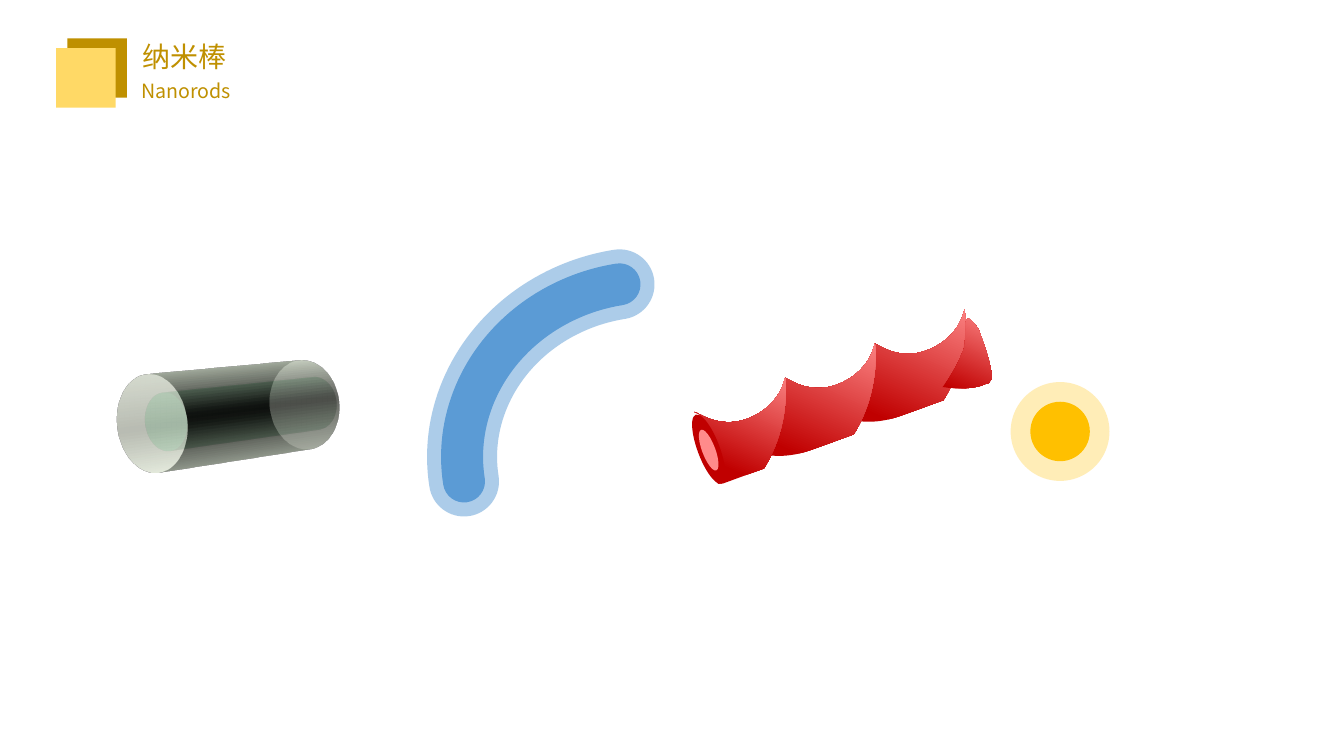
import math
from lxml import etree
from pptx import Presentation
from pptx.dml.color import RGBColor
from pptx.enum import shapes
from pptx.oxml import ns
from pptx.util import Pt

deck = Presentation()
deck.slide_width, deck.slide_height = Pt(960), Pt(540)
page = deck.slides.add_slide(deck.slide_layouts[6])
Kind = shapes.MSO_SHAPE
TWIST = 159.4


def paint(fill, color, alpha=100):
    """Solid fill from a hex string, with opacity in percent."""
    fill.solid()
    fill.fore_color.rgb = RGBColor.from_string(color)
    if alpha < 100:
        node = fill._xPr.find(ns.qn("a:solidFill"))[0]
        etree.SubElement(node, ns.qn("a:alpha"), val=str(alpha * 1000))


def rotate(x, y, degrees):
    """Turn a point clockwise about the slide's corner."""
    cosine, sine = math.cos(math.radians(degrees)), math.sin(math.radians(degrees))
    return x * cosine - y * sine, x * sine + y * cosine


# Twisted rod: each outline has its steps (C curve, L line) and its points
turn = [(644.4, 296.6), (632.9, 300.9), (621.4, 302.4), (609.8, 300.2), (609.1, 300.2),
        (612.7, 295.9), (620.6, 284.4), (625, 271.4), (625.7, 257.8), (625, 245.5),
        (630.7, 248.4), (640.8, 253.4), (652.3, 254.2), (663.1, 249.8),
        (673.9, 245.5), (682.6, 237.6), (686.9, 227.5), (689, 221),
        (689.8, 226.8), (691.9, 257), (673.9, 285.8), (644.4, 296.6)]
second_turn, third_turn = [[(x - 64.1 * n, y + 24.4 * n) for x, y in turn] for n in (1, 2)]
sliver = [(514.1, 345.6), (512.6, 345.6), (515.5, 344.9)]
front_turn = [(515.5, 344.9), (518.4, 341.3), (517, 329.8), (512.6, 317.5),
              (507.6, 304.6), (501.1, 295.2), (496.8, 294.5), (496.1, 294.2)] + third_turn[10:]
tail_turn = [(705.6, 273.6), (699.8, 275.8), (691.2, 277.9), (682.6, 277.9), (673.9, 276.5),
             (673.2, 276.5), (676.8, 272.2), (684, 261.4), (689, 247.7), (689.8, 234),
             (689, 223.9), (693.4, 226.8), (699.1, 235.4), (702.7, 246.2),
             (707.8, 258.5), (708.5, 270), (706.3, 273.6)]
for steps, points in (("CLLCLLCCLC", turn), ("CLLCLLCCLC", second_turn), ("LL", sliver),
                      ("CCLLCCLC", front_turn), ("LCLCLCC", tail_turn)):
    dots = [tuple(Pt(value) for value in rotate(x, y, -TWIST)) for x, y in points]
    builder = page.shapes.build_freeform(*dots[0], scale=1.0)
    builder.add_line_segments(dots[1:], close=False)
    outline = builder.convert_to_shape()
    figure = outline._element.find(".//" + ns.qn("a:path"))
    lines = iter(figure.findall(ns.qn("a:lnTo")))
    for step in steps:
        segment = next(lines)
        if step == "C":
            curve = etree.Element(ns.qn("a:cubicBezTo"))
            segment.addprevious(curve)
            for part in (segment, next(lines), next(lines)):
                curve.append(part[0])
                figure.remove(part)
    etree.SubElement(figure, ns.qn("a:close"))
    middle_x, middle_y = rotate(outline.left + outline.width / 2,
                                outline.top + outline.height / 2, TWIST)
    outline.left = round(middle_x - outline.width / 2)
    outline.top = round(middle_y - outline.height / 2)
    outline.rotation = TWIST
    outline.shadow.inherit = False
    outline.line.fill.background()
    outline.fill.gradient()
    outline.fill.gradient_angle = 225
    for stop, color, place in zip(outline.fill.gradient_stops, ("C00000", "FF8B8B"), (0.19, 1)):
        stop.color.rgb = RGBColor.from_string(color)
        stop.position = place

# Straight rod, rod ends, sphere, title squares: centre, size, turn, colour, opacity, 3D offset
for kind, (x, y, width, height), turned, color, alpha, offset in (
        (Kind.OVAL, (108.6, 302.4, 42.5, 42.5), 0, "00B050", 100, -15),
        (Kind.OVAL, (108.6, 302.4, 70.6, 70.6), 0, "E2F0D9", 70, 0),
        (Kind.OVAL, (506.2, 320.8, 15.8, 52.6), TWIST, "C00000", 100, None),
        (Kind.OVAL, (506.2, 321.5, 9.4, 31), TWIST, "FF8B8B", 100, None),
        (Kind.OVAL, (757.2, 308.2, 70.6, 70.6), 0, "FFE699", 70, None),
        (Kind.OVAL, (757.2, 308.2, 42.5, 42.5), 0, "FFC000", 100, None),
        (Kind.RECTANGLE, (69.4, 48.6, 42.5, 42.5), 0, "BF9000", 100, None),
        (Kind.RECTANGLE, (61.3, 55.7, 42.5, 42.5), 0, "FFD966", 100, None)):
    piece = page.shapes.add_shape(kind, Pt(x - width / 2), Pt(y - height / 2),
                                  Pt(width), Pt(height))
    piece.rotation = turned
    piece.shadow.inherit = False
    piece.line.fill.background()
    paint(piece.fill, color, alpha)
    if offset is not None:
        look = piece._element.spPr
        scene = etree.SubElement(look, ns.qn("a:scene3d"))
        etree.SubElement(scene, ns.qn("a:camera"), prst="perspectiveContrastingLeftFacing")
        etree.SubElement(scene, ns.qn("a:lightRig"), rig="threePt", dir="t")
        etree.SubElement(look, ns.qn("a:sp3d"), z=str(Pt(offset)), extrusionH=str(Pt(172)))

# Bent rod: a thick core arc and a wider translucent shell
for width, alpha in ((30, 100), (50, 50)):
    arc = page.shapes.add_shape(Kind.ARC, Pt(329.8), Pt(201.6), Pt(263.5), Pt(243.4))
    arc.rotation = -9
    arc._element.spPr.find(ns.qn("a:xfrm")).set("flipH", "1")
    arc.shadow.inherit = False
    arc.fill.background()
    arc.line.width = Pt(width)
    paint(arc.line.fill, "5B9BD5", alpha)
    arc._element.spPr.find(ns.qn("a:ln")).set("cap", "rnd")

# Title
for words, left, top, width, height, size, font in (
        ("纳米棒", 94.6, 24.5, 112.3, 31.7, 20, "Arial"),
        (" Nanorods", 90.7, 52.6, 122.4, 24.5, 14, "Noto Sans CJK SC")):
    box = page.shapes.add_textbox(Pt(left), Pt(top), Pt(width), Pt(height))
    box.text_frame.word_wrap = True
    para = box.text_frame.paragraphs[0]
    para.text = words
    para.font.size = Pt(size)
    para.font.name = font
    para.font.color.rgb = RGBColor.from_string("BF9000")

deck.save("out.pptx")
